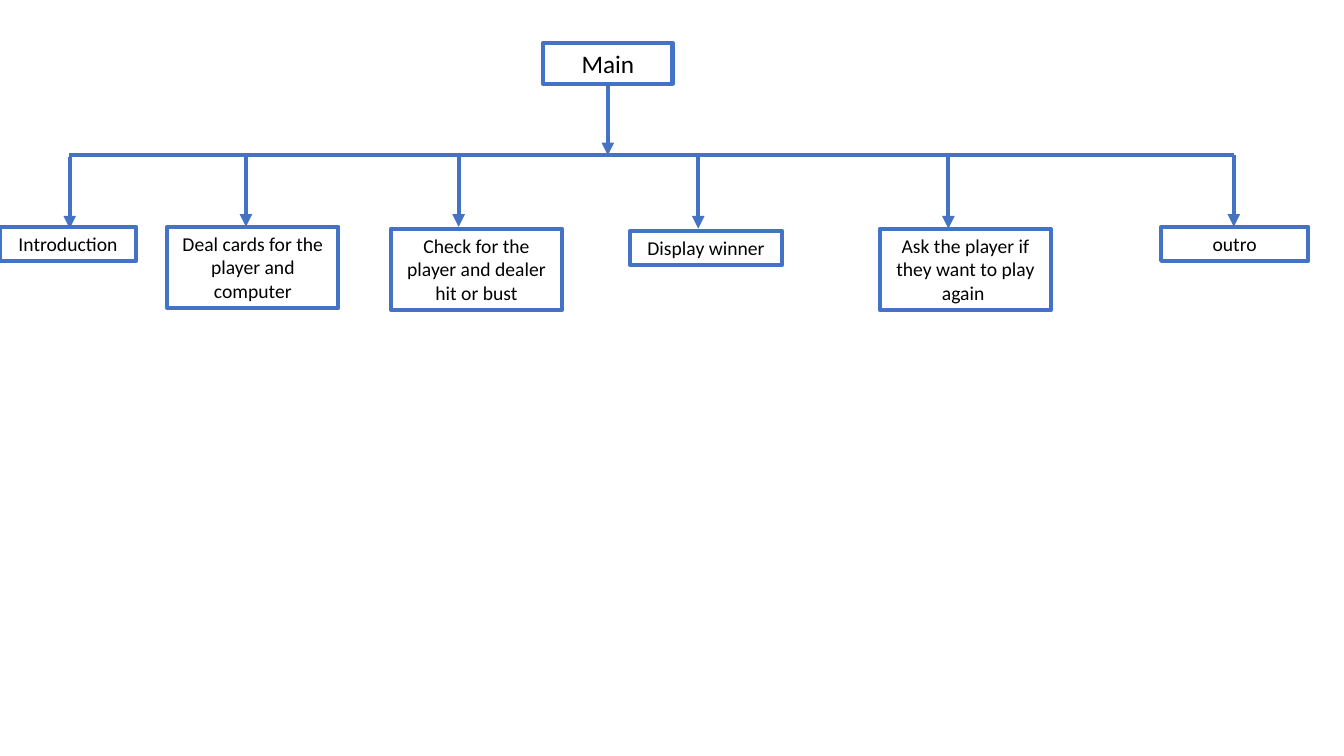
"""Build a slide with the structure chart of a card game program."""
from lxml import etree
from pptx import Presentation
from pptx.dml.color import RGBColor
from pptx.enum.shapes import MSO_CONNECTOR
from pptx.enum.text import MSO_AUTO_SIZE, PP_ALIGN
from pptx.oxml.ns import qn
from pptx.util import Pt

STRAIGHT = MSO_CONNECTOR.STRAIGHT
GROW = MSO_AUTO_SIZE.SHAPE_TO_FIT_TEXT
CENTER = PP_ALIGN.CENTER
COLORS = {"outline": "4472C4", "text": "000000"}
FONT = "Calibri"
LINE_WIDTH = 3
STEM_LENGTH = 51.1
ONE_LINE, THREE_LINES = 24.3, 58.1

STEPS = [
    ("Introduction", 0, 162, 97.2, ONE_LINE, 49.8, 112.2),
    ("Deal cards for the player and computer", 119.5, 162, 122.2, THREE_LINES, 175.7, 110.9),
    ("Check for the player and dealer hit or bust", 279.4, 163.4, 122, THREE_LINES, 327.6, 110.9),
    ("Display winner", 450, 164.9, 108.7, ONE_LINE, 498.8, 112.2),
    ("Ask the player if they want to play again ", 628.6, 163.4, 122, THREE_LINES, 677.4, 112.2),
    ("outro", 829.4, 162, 105.1, ONE_LINE, 881.3, 110.9),
]


def style_line(line):
    line.color.rgb = RGBColor.from_string(COLORS["outline"])
    line.width = Pt(LINE_WIDTH)


def add_line(slide, x1, y1, x2, y2, arrow=False):
    connector = slide.shapes.add_connector(STRAIGHT, Pt(x1), Pt(y1), Pt(x2), Pt(y2))
    style_line(connector.line)
    properties = connector._element.spPr
    if arrow:
        etree.SubElement(properties.find(qn("a:ln")), qn("a:tailEnd"), type="triangle")
    etree.SubElement(properties, qn("a:effectLst"))


def add_module(slide, label, left, top, width, height, size):
    module = slide.shapes.add_textbox(Pt(left), Pt(top), Pt(width), Pt(height))
    style_line(module.line)
    frame = module.text_frame
    frame.word_wrap = True
    frame.auto_size = GROW
    paragraph = frame.paragraphs[0]
    paragraph.alignment = CENTER
    run = paragraph.add_run()
    run.text = label
    run.font.name = FONT
    run.font.size = Pt(size)
    run.font.color.rgb = RGBColor.from_string(COLORS["text"])


def add_main(slide, left, top, width, height):
    add_module(slide, "Main", left, top, width, height, 18)
    center = left + width / 2
    add_line(slide, center, top + height, center, top + height + STEM_LENGTH, arrow=True)


def add_steps(slide, left, top, width):
    add_line(slide, left, top, left + width, top)
    bar_left, bar_top = 49, 110.9
    dx, dy = left - bar_left, top - bar_top
    for label, step_left, step_top, step_width, step_height, stem, stem_top in STEPS:
        add_line(slide, dx + stem, dy + stem_top,
                 dx + stem, dy + stem_top + STEM_LENGTH, arrow=True)
        add_module(slide, label, dx + step_left, dy + step_top, step_width, step_height, 14)


def build_deck():
    deck = Presentation()
    deck.slide_width, deck.slide_height = Pt(960), Pt(540)
    slide = deck.slides.add_slide(deck.slide_layouts[6])
    add_main(slide, 388, 30.7, 92.4, 29.1)
    add_steps(slide, 49, 110.9, 832.3)
    deck.save("out.pptx")


build_deck()
